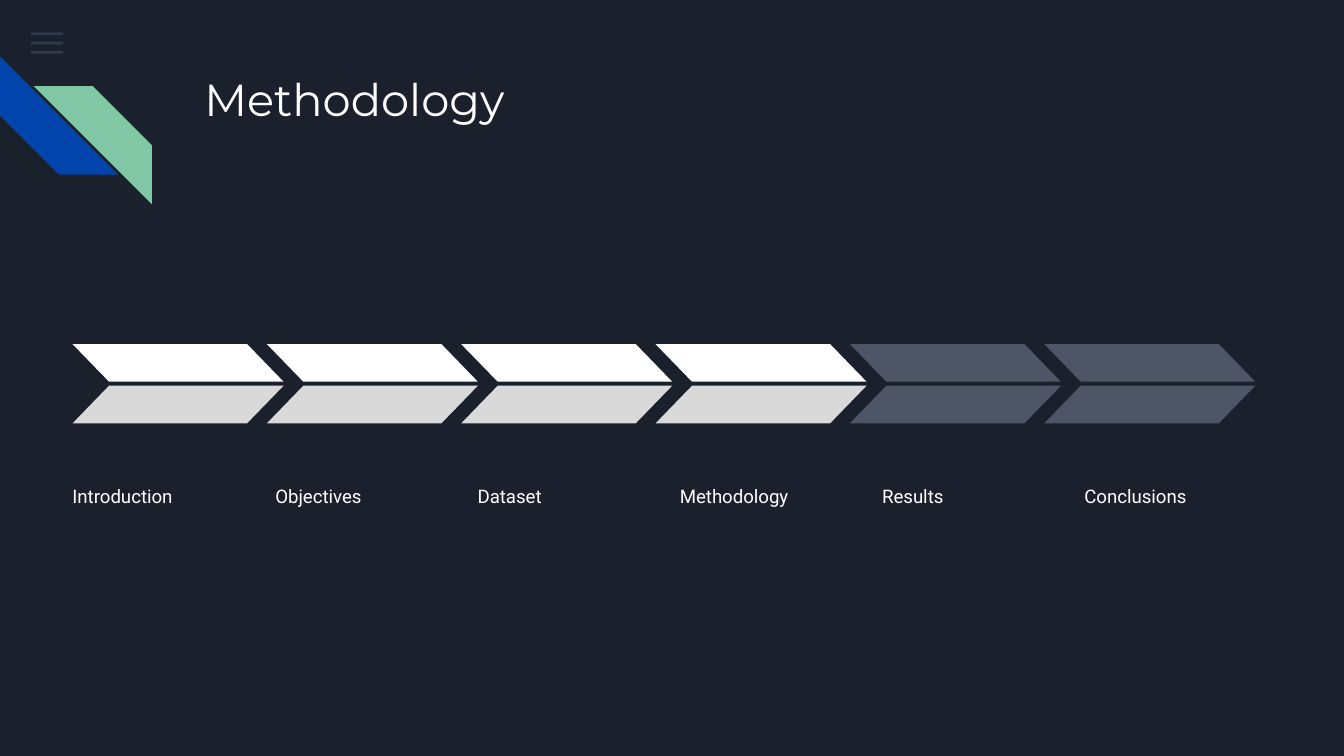
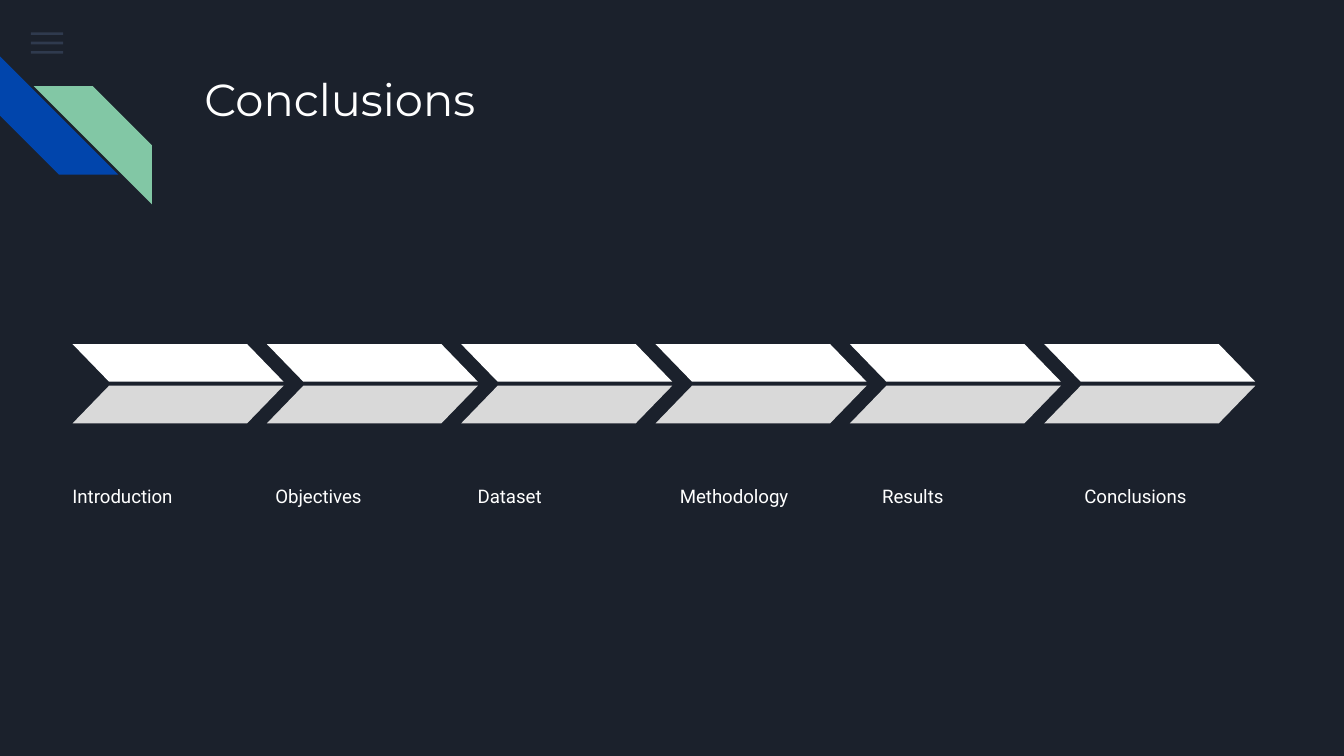
from pptx import Presentation
from pptx import util as u
from pptx.dml.color import RGBColor
from pptx.enum import shapes, text
from pptx.oxml.ns import qn
from lxml import etree

# Shared palette and type
NIGHT = RGBColor(0x1B, 0x21, 0x2C)
MENU = RGBColor(0x55, 0x68, 0x8B)
BLUE = RGBColor(0x01, 0x45, 0xAC)
GREEN = RGBColor(0x82, 0xC7, 0xA5)
WHITE = RGBColor(0xFF, 0xFF, 0xFF)
SILVER = RGBColor(0xD9, 0xD9, 0xD9)
PENDING = RGBColor(0x4E, 0x55, 0x67)
TITLE_FONT = {"name": "Montserrat", "size": u.Pt(24)}
LABEL_FONT = {"name": "Roboto", "size": u.Pt(10)}

STEPS = ["Introduction", "Objectives", "Dataset", "Methodology", "Results", "Conclusions"]
CURRENT_STEPS = ["Methodology", "Conclusions"]
PRESET = shapes.MSO_SHAPE
ANCHOR = text.MSO_ANCHOR


def add_filled(slide, preset, box, color, adj=None, flip=False, rotation=0, alpha=None):
    """Add a preset shape with a plain fill and no outline."""
    shape = slide.shapes.add_shape(preset, *map(u.Inches, box))
    shape.shadow.inherit = False
    shape.fill.solid()
    shape.fill.fore_color.rgb = color
    shape.line.fill.background()
    shape.rotation = rotation
    if adj is not None:
        shape.adjustments[0] = adj
    if flip:
        shape.element.spPr.get_or_add_xfrm().set("flipH", "1")
    if alpha is not None:
        tint = shape.element.spPr.find(qn("a:solidFill"))[0]
        etree.SubElement(tint, qn("a:alpha")).set("val", str(alpha * 1000))


def write(shape, words, font, anchor):
    """Fill a text shape with one left-aligned white line."""
    frame = shape.text_frame
    frame.text = words
    margins = dict.fromkeys(
        ["margin_left", "margin_top", "margin_right", "margin_bottom"], u.Inches(0.1))
    layout = {"word_wrap": True, "auto_size": text.MSO_AUTO_SIZE.NONE,
              "vertical_anchor": anchor}
    for key, value in {**margins, **layout}.items():
        setattr(frame, key, value)
    line = frame.paragraphs[0]
    line.alignment = text.PP_ALIGN.LEFT
    run = line.runs[0]
    for key, value in font.items():
        setattr(run.font, key, value)
    run.font.color.rgb = WHITE


def add_title(slide, words):
    title = slide.shapes.title
    place = {"left": 1.42, "top": 0.43, "width": 7.7, "height": 1}
    for key, value in place.items():
        setattr(title, key, u.Inches(value))
    write(title, words, TITLE_FONT, ANCHOR.TOP)


def add_corner(slide):
    """Menu bars and the two diagonal stripes at the top left."""
    for row in range(3):
        add_filled(slide, PRESET.RECTANGLE, (0.23, 0.24 + 0.07 * row, 0.24, 0.02),
                   MENU, alpha=36)
    add_filled(slide, PRESET.DIAGONAL_STRIPE, (0, 0.42, 0.88, 0.88), BLUE, 0.5, rotation=270)
    add_filled(slide, PRESET.DIAGONAL_STRIPE, (0.25, 0.64, 0.88, 0.88), GREEN, 0.5, flip=True)


def spread(first, last, count):
    """Evenly spaced left edges."""
    gap = (last - first) / (count - 1)
    return [first + gap * i for i in range(count)]


def add_labels(slide):
    """Step names; the first box is slightly wider than the rest."""
    lefts = [0.44] + spread(1.95, 7.97, len(STEPS) - 1)
    widths = [1.55] + [1.51] * (len(STEPS) - 1)
    for step, left, width in zip(STEPS, lefts, widths):
        label = slide.shapes.add_textbox(*map(u.Inches, (left, 3.25, width, 0.88)))
        write(label, step, LABEL_FONT, ANCHOR.MIDDLE)


def add_progress(slide, current):
    """Chevrons of two halves, bright up to and including the current step."""
    for i, left in enumerate(spread(0.54, 7.77, len(STEPS))):
        upper, lower = (WHITE, SILVER) if i <= STEPS.index(current) else (PENDING, PENDING)
        for top, color, flip in [(2.56, upper, True), (2.87, lower, False)]:
            add_filled(slide, PRESET.PARALLELOGRAM, (left, top, 1.57, 0.28), color, 0.97, flip)


def main():
    deck = Presentation()
    deck.slide_width = u.Inches(10)
    deck.slide_height = deck.slide_width * 9 // 16
    backdrop = deck.slide_master.background.fill
    backdrop.solid()
    backdrop.fore_color.rgb = NIGHT
    title_only = deck.slide_layouts[5]

    for current in CURRENT_STEPS:
        slide = deck.slides.add_slide(title_only)
        add_corner(slide)
        add_title(slide, current)
        add_labels(slide)
        add_progress(slide, current)

    deck.save("out.pptx")


if __name__ == "__main__":
    main()
